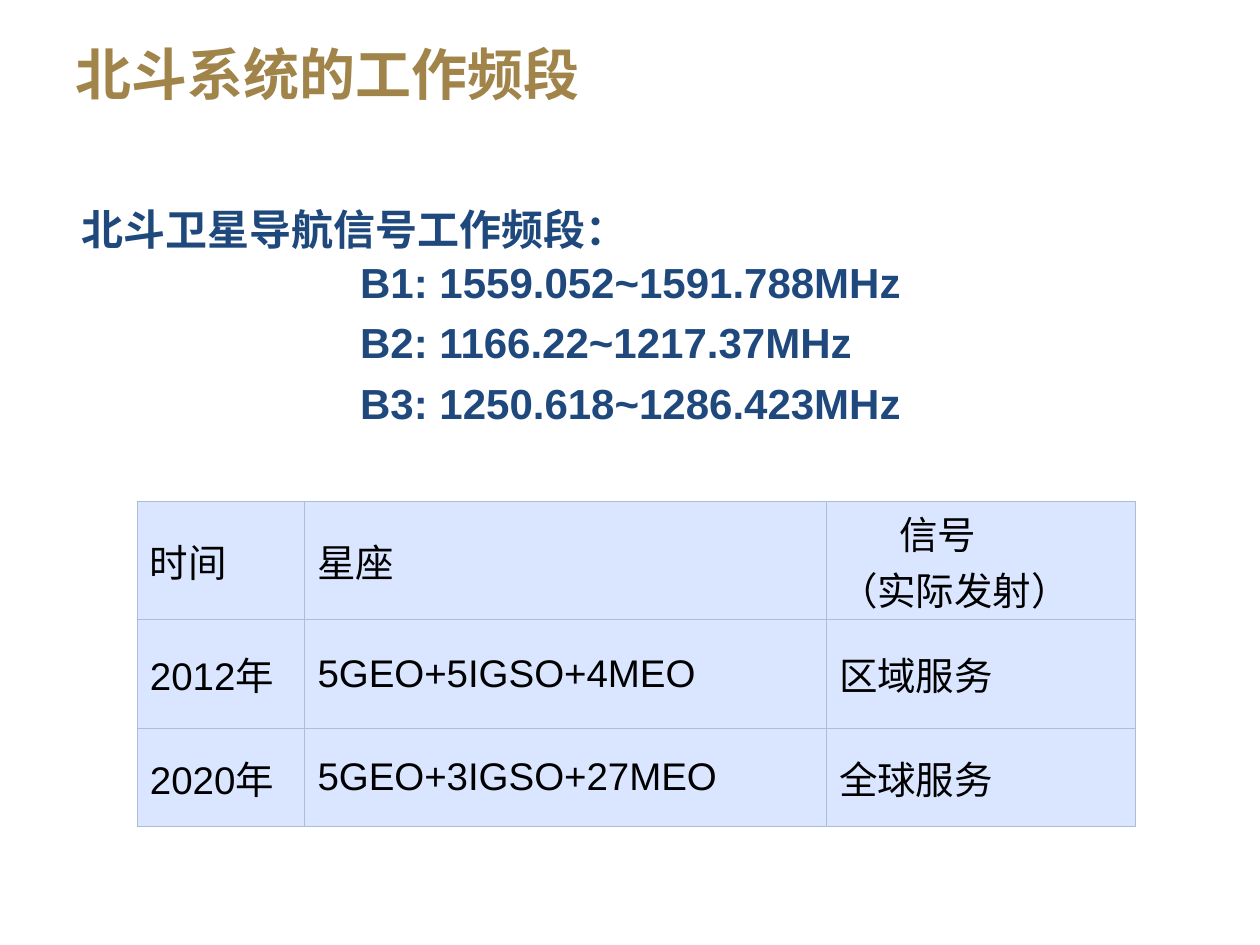
import pptx
import pptx.dml.color
import pptx.enum.text
import pptx.oxml.ns
import pptx.util
from lxml import etree

Inches = pptx.util.Inches
Pt = pptx.util.Pt
qn = pptx.oxml.ns.qn
MIDDLE = pptx.enum.text.MSO_ANCHOR.MIDDLE

COLORS = {
    "gold": "A18449",
    "navy": "1F497D",
    "black": "000000",
    "cell": "DAE6FF",
    "border": "ADBCD7",
}
CJK_FONT = "Noto Sans CJK SC"
LATIN_FONT = "Arial"

BANDS = [
    "B1: 1559.052~1591.788MHz",
    "B2: 1166.22~1217.37MHz",
    "B3: 1250.618~1286.423MHz",
]
TABLE_ROWS = [
    ["时间", "星座", "信号\n（实际发射）"],
    ["2012年", "5GEO+5IGSO+4MEO", "区域服务"],
    ["2020年", "5GEO+3IGSO+27MEO", "全球服务"],
]
COLUMN_WIDTHS = [1.33, 4.14, 2.45]
ROW_HEIGHTS = [0.94, 0.86, 0.78]


def rgb(name):
    return pptx.dml.color.RGBColor.from_string(COLORS[name])


def write_text(paragraph, text, size, color, font=LATIN_FONT, bold=False,
               indent=0, line_spacing=None, space_before=0):
    properties = paragraph._p.get_or_add_pPr()
    properties.set("marL", str(Inches(indent)))
    properties.set("indent", "0")
    paragraph.alignment = pptx.enum.text.PP_ALIGN.LEFT
    paragraph.space_before = Pt(space_before)
    if line_spacing:
        paragraph.line_spacing = Pt(line_spacing)
    run = paragraph.add_run()
    run.text = text
    run.font.size = Pt(size)
    run.font.bold = bold
    run.font.name = font
    run.font.color.rgb = rgb(color)
    east_asian = etree.Element(qn("a:ea"), typeface=CJK_FONT)
    run._r.rPr.find(qn("a:latin")).addnext(east_asian)


def set_title(slide, text):
    title = slide.shapes.title
    title.left, title.top = Inches(0.5), Inches(0.23)
    title.width, title.height = Inches(4.73), Inches(0.7)
    frame = title.text_frame
    frame.vertical_anchor = MIDDLE
    write_text(frame.paragraphs[0], text, 32, "gold", font=CJK_FONT, bold=True)


def add_band_list(slide, heading, bands):
    box = slide.shapes.add_textbox(
        Inches(0.55), Inches(1.55), Inches(9.45), Inches(1.93))
    frame = box.text_frame
    frame.word_wrap = True
    write_text(frame.paragraphs[0], heading, 24, "navy", font=CJK_FONT,
               bold=True, line_spacing=30)
    for index, band in enumerate(bands):
        write_text(frame.add_paragraph(), band, 24, "navy", bold=True,
                   indent=2.21, line_spacing=30,
                   space_before=4.8 if index else 0)


def set_borders(cell):
    """Draw a thin line on all four sides; call before filling the cell."""
    properties = cell._tc.get_or_add_tcPr()
    for side in ("lnL", "lnR", "lnT", "lnB"):
        line = etree.SubElement(properties, qn(f"a:{side}"), w=str(Pt(0.75)))
        fill = etree.SubElement(line, qn("a:solidFill"))
        etree.SubElement(fill, qn("a:srgbClr"), val=COLORS["border"])


def fill_cell(cell, text):
    set_borders(cell)
    cell.fill.solid()
    cell.fill.fore_color.rgb = rgb("cell")
    cell.vertical_anchor = MIDDLE
    cell.margin_top = cell.margin_bottom = Inches(0.02)
    lines = text.split("\n")
    frame = cell.text_frame
    for index, line in enumerate(lines):
        paragraph = frame.add_paragraph() if index else frame.paragraphs[0]
        first_of_many = index == 0 and len(lines) > 1
        write_text(paragraph, line, 22, "black",
                   indent=0.48 if first_of_many else 0)


def add_service_table(slide, rows):
    table = slide.shapes.add_table(
        len(rows), len(COLUMN_WIDTHS), Inches(1.09), Inches(3.98),
        Inches(sum(COLUMN_WIDTHS)), Inches(sum(ROW_HEIGHTS))).table
    table.first_row = table.horz_banding = False
    for column, width in zip(table.columns, COLUMN_WIDTHS):
        column.width = Inches(width)
    for row, height, texts in zip(table.rows, ROW_HEIGHTS, rows):
        row.height = Inches(height)
        for cell, text in zip(row.cells, texts):
            fill_cell(cell, text)


def main():
    presentation = pptx.Presentation()
    presentation.slide_width = Inches(10)
    presentation.slide_height = Inches(7.5)
    slide = presentation.slides.add_slide(presentation.slide_layouts[5])
    set_title(slide, "北斗系统的工作频段")
    add_band_list(slide, "北斗卫星导航信号工作频段：", BANDS)
    add_service_table(slide, TABLE_ROWS)
    presentation.save("out.pptx")


if __name__ == "__main__":
    main()
